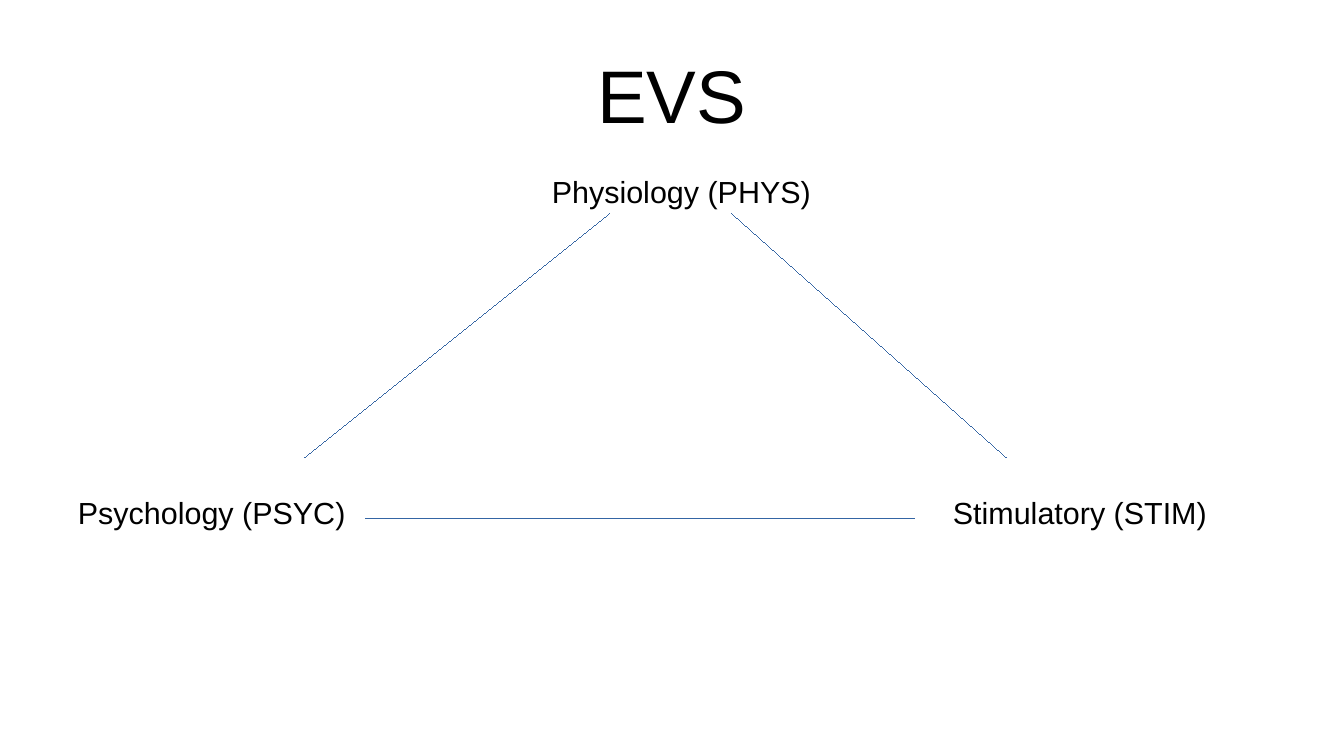
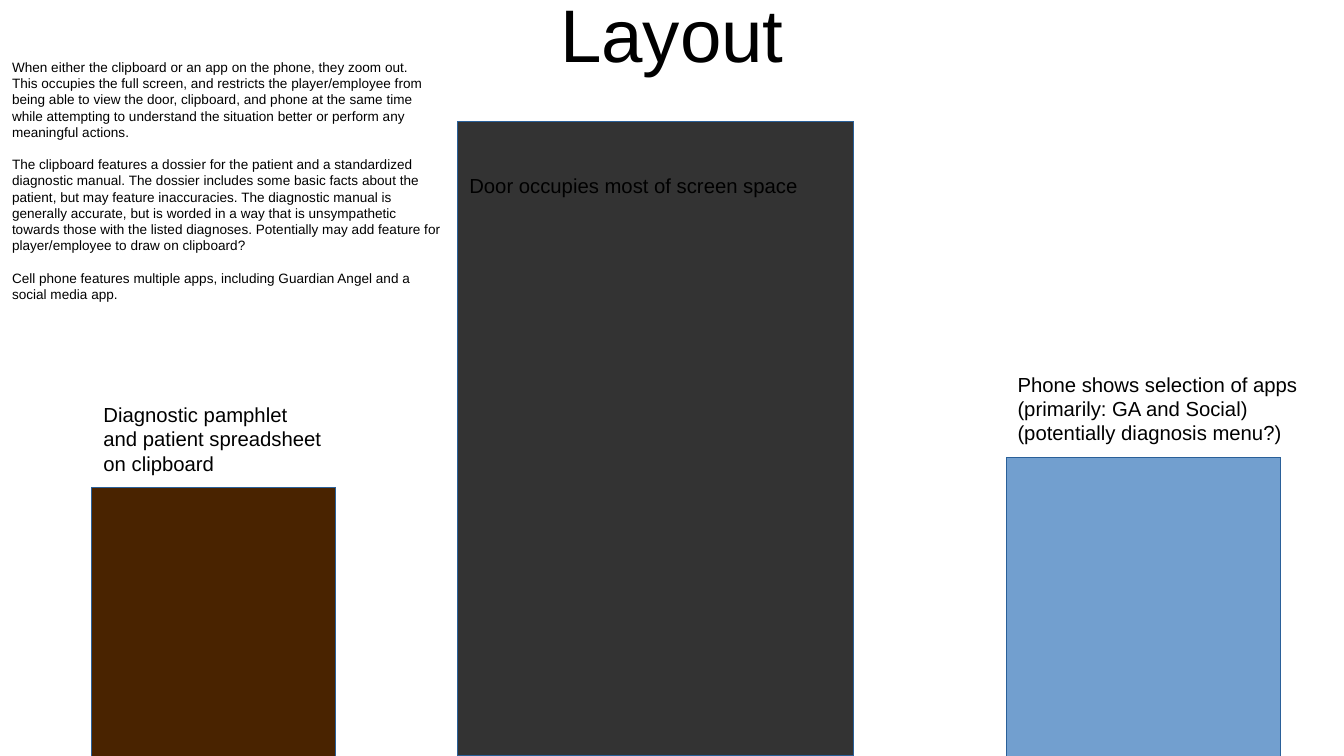
from lxml import etree
from pptx import Presentation
from pptx.dml.color import RGBColor
from pptx.enum.shapes import MSO_CONNECTOR, MSO_SHAPE
from pptx.enum.text import MSO_ANCHOR, PP_ALIGN
from pptx.oxml.ns import qn
from pptx.util import Pt

RECT = MSO_SHAPE.RECTANGLE
STRAIGHT = MSO_CONNECTOR.STRAIGHT
MIDDLE, TOP = MSO_ANCHOR.MIDDLE, MSO_ANCHOR.TOP
CENTER, LEFT = PP_ALIGN.CENTER, PP_ALIGN.LEFT

# Shared style
SLIDE_W, SLIDE_H = 793.5, 446.4
FONT = "Arial"
COLORS = {
    "text": "000000",
    "link": "3465A4",
    "outline": "2A6099",
    "door": "333333",
    "phone": "729FCF",
    "clipboard": "492300",
}
TITLE_SIZE, NODE_SIZE, LABEL_SIZE, NOTE_SIZE = 44, 18, 12, 8
TITLE_X, TITLE_W, TITLE_H = 39.6, 714.3, 74.9
INSET_X, INSET_Y = 7.2, 3.6
NOTE_GAP = 9.5
HAIRLINE = 0.01  # a width of zero would fall back to the theme's line


def color(name):
    return RGBColor.from_string(COLORS[name])


def add_text(slide, box, paragraphs, size, wrap=False, align=LEFT,
             anchor=TOP, inset=(INSET_X, INSET_Y), gaps=()):
    """Text box; gaps lists the paragraphs that have space above them."""
    tf = slide.shapes.add_textbox(*map(Pt, box)).text_frame
    tf.word_wrap = wrap
    tf.vertical_anchor = anchor
    tf.margin_left = tf.margin_right = Pt(inset[0])
    tf.margin_top = tf.margin_bottom = Pt(inset[1])
    for i, text in enumerate(paragraphs):
        p = tf.add_paragraph() if i else tf.paragraphs[0]
        p.text = text
        p.alignment = align
        p.font.name = FONT
        p.font.size = Pt(size)
        p.font.color.rgb = color("text")
        if i in gaps:
            p.space_before = Pt(NOTE_GAP)


def add_title(slide, text, y):
    add_text(slide, (TITLE_X, y, TITLE_W, TITLE_H), [text], TITLE_SIZE,
             wrap=True, align=CENTER, anchor=MIDDLE, inset=(0, 0))


def set_line(line, name):
    line.color.rgb = color(name)
    line.width = Pt(HAIRLINE)


def add_link(slide, start, end):
    link = slide.shapes.add_connector(STRAIGHT, *map(Pt, start + end))
    set_line(link.line, "link")
    etree.SubElement(link._element.spPr, qn("a:effectLst"))


def add_panel(slide, box, fill):
    sp = slide.shapes.add_shape(RECT, *map(Pt, box))
    sp.shadow.inherit = False
    sp.fill.solid()
    sp.fill.fore_color.rgb = color(fill)
    set_line(sp.line, "outline")


def build_evs(slide):
    add_title(slide, "EVS", 18)

    # Corners of the triangle
    for text, x, y, w in (
        ("Physiology (PHYS)", 318.7, 98.6, 176),
        ("Psychology (PSYC)", 38.9, 288, 184),
        ("Stimulatory (STIM)", 555.5, 288, 174),
    ):
        add_text(slide, (x, y, w, 27.4), [text], NODE_SIZE)

    # Sides of the triangle
    for start, end in (
        ((360, 126), (180, 270)),
        ((216, 306), (540, 306)),
        ((432, 126), (594, 270)),
    ):
        add_link(slide, start, end)


def build_layout(slide):
    add_title(slide, "Layout", -18)

    # Door, phone and clipboard
    add_panel(slide, (270, 72, 234, 374.4), "door")
    add_panel(slide, (594, 270, 162, 180), "phone")
    add_panel(slide, (54, 288, 144, 162), "clipboard")

    # Labels
    for box, lines in (
        ((270, 98.6, 220, 21), ["Door occupies most of screen space"]),
        ((593.7, 216, 188, 47.5),
         ["Phone shows selection of apps",
          "(primarily: GA and Social)\n(potentially diagnosis menu?)"]),
        ((54, 234, 152, 47.5),
         ["Diagnostic pamphlet", "and patient spreadsheet",
          "on clipboard"]),
    ):
        add_text(slide, box, lines, LABEL_SIZE)

    # Notes
    notes = [
        "When either the clipboard or an app on the phone, they zoom out.",
        "This occupies the full screen, and restricts the player/employee "
        "from being able to view the door, clipboard, and phone at the same "
        "time while attempting to understand the situation better or perform "
        "any meaningful actions.",
        "The clipboard features a dossier for the patient and a standardized "
        "diagnostic manual. The dossier includes some basic facts about the "
        "patient, but may feature inaccuracies. The diagnostic manual is "
        "generally accurate, but is worded in a way that is unsympathetic "
        "towards those with the listed diagnoses. Potentially may add "
        "feature for player/employee to draw on clipboard?",
        "Cell phone features multiple apps, including Guardian Angel and a "
        "social media app.",
    ]
    add_text(slide, (0, 31.3, 270, 142.6), notes, NOTE_SIZE, wrap=True,
             gaps=(2, 3))


def main():
    prs = Presentation()
    prs.slide_width, prs.slide_height = Pt(SLIDE_W), Pt(SLIDE_H)
    blank = prs.slide_layouts[6]
    for build in (build_evs, build_layout):
        build(prs.slides.add_slide(blank))
    prs.save("out.pptx")


if __name__ == "__main__":
    main()
